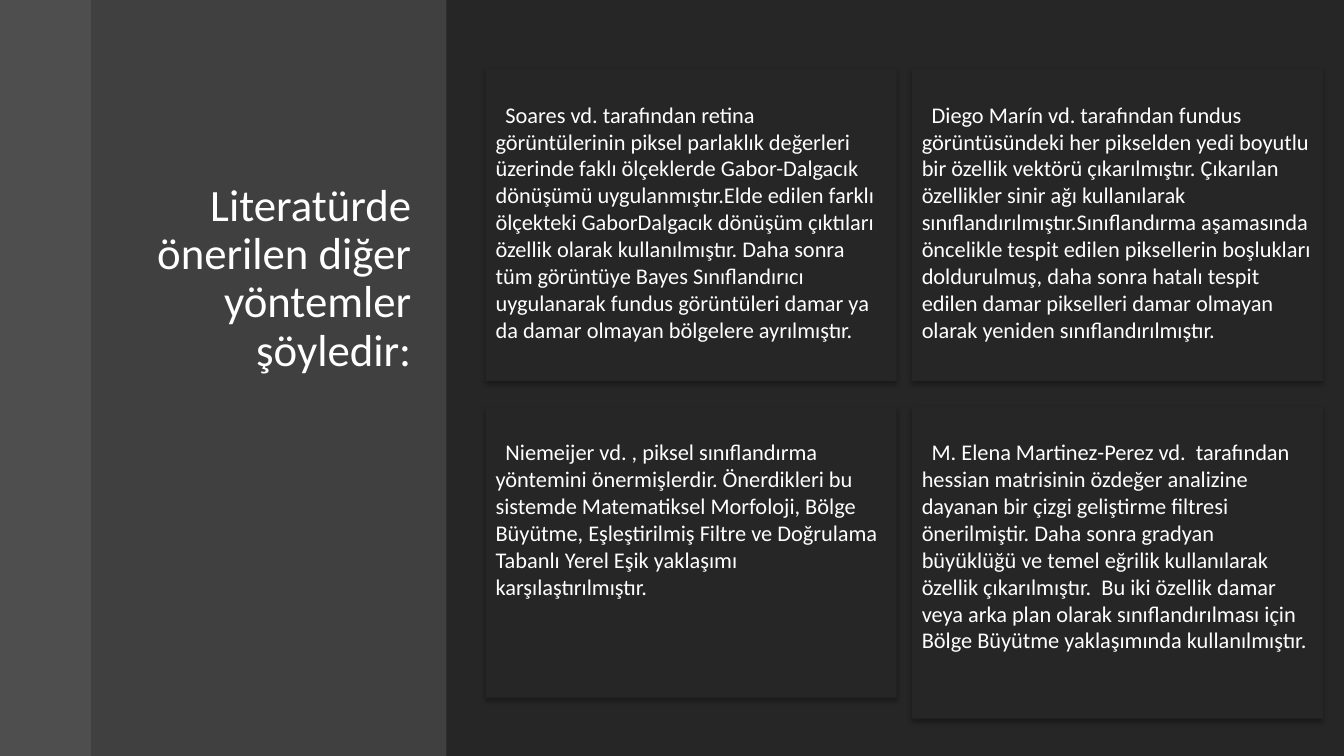
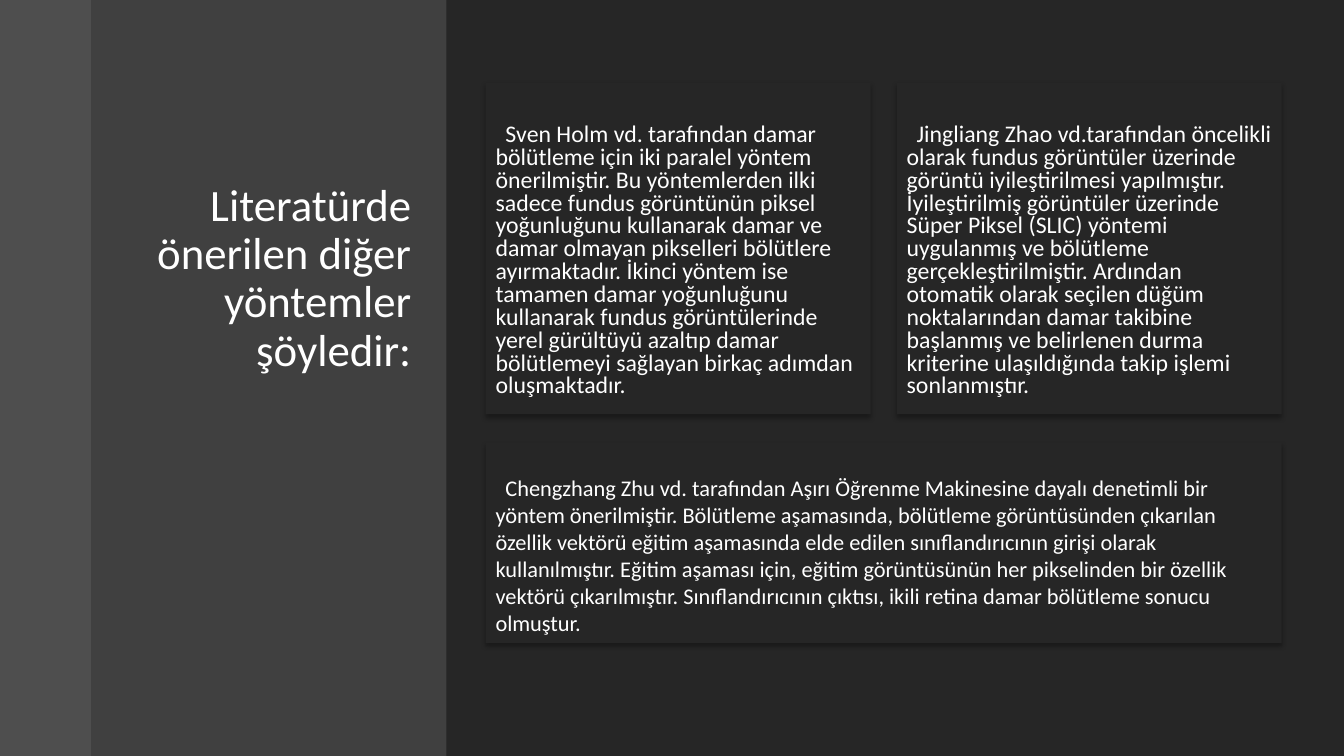
from lxml import etree
from pptx import Presentation
from pptx.dml.color import RGBColor
from pptx.enum.shapes import MSO_SHAPE
from pptx.enum.text import MSO_ANCHOR, PP_ALIGN
from pptx.oxml import parse_xml
from pptx.oxml.ns import nsdecls, qn
from pptx.util import Cm, Pt

DARK = RGBColor(0x26, 0x26, 0x26)
WHITE = RGBColor(0xFF, 0xFF, 0xFF)
EDGE_GRAY = RGBColor(0x5F, 0x5F, 0x5F)
PANEL_GRAY = RGBColor(0x47, 0x47, 0x47)
FONT = "Calibri"
TITLE = "Literatürde önerilen diğer yöntemler şöyledir:"
WIDTH, HEIGHT = 33.87, 19.05
BANDS = [(0, 2.31, EDGE_GRAY, 70), (2.31, 8.94, PANEL_GRAY, 80)]
SHADOW = (
    f'<a:effectLst {nsdecls("a")}>'
    '<a:outerShdw blurRad="44450" dist="27940" dir="5400000" algn="ctr" rotWithShape="0">'
    '<a:srgbClr val="000000"><a:alpha val="32000"/></a:srgbClr>'
    "</a:outerShdw></a:effectLst>"
)

LEFT = 12.24
NARROW, GAP = 10.36, 0.38
RIGHT = LEFT + NARROW + GAP
HALF, HALF_GAP = 9.7, 0.66
HALF_RIGHT = LEFT + HALF + HALF_GAP
FULL = 2 * HALF + HALF_GAP

SLIDES = [
    [
        (LEFT, 1.73, NARROW, 7.87, 16, 1, 0.81,
         "Soares vd. tarafından retina görüntülerinin piksel parlaklık değerleri üzerinde "
         "faklı ölçeklerde Gabor-Dalgacık dönüşümü uygulanmıştır.Elde edilen farklı ölçekteki "
         "GaborDalgacık dönüşüm çıktıları özellik olarak kullanılmıştır. Daha sonra tüm "
         "görüntüye Bayes Sınıflandırıcı uygulanarak fundus görüntüleri damar ya da damar "
         "olmayan bölgelere ayrılmıştır."),
        (LEFT, 10.24, NARROW, 7.34, 16, 1, 0.81,
         "Niemeijer vd. , piksel sınıflandırma yöntemini önermişlerdir. Önerdikleri bu "
         "sistemde Matematiksel Morfoloji, Bölge Büyütme, Eşleştirilmiş Filtre ve Doğrulama "
         "Tabanlı Yerel Eşik yaklaşımı karşılaştırılmıştır."),
        (RIGHT, 1.73, NARROW, 7.87, 16, 1, 0.81,
         "Diego Marín vd. tarafından fundus görüntüsündeki her pikselden yedi boyutlu bir "
         "özellik vektörü çıkarılmıştır. Çıkarılan özellikler sinir ağı kullanılarak "
         "sınıflandırılmıştır.Sınıflandırma aşamasında öncelikle tespit edilen piksellerin "
         "boşlukları doldurulmuş, daha sonra hatalı tespit edilen damar pikselleri damar "
         "olmayan olarak yeniden sınıflandırılmıştır."),
        (RIGHT, 10.24, NARROW, 7.87, 16, 1, 0.81,
         "M. Elena Martinez-Perez vd.  tarafından hessian matrisinin özdeğer analizine "
         "dayanan bir çizgi geliştirme filtresi önerilmiştir. Daha sonra gradyan büyüklüğü "
         "ve temel eğrilik kullanılarak özellik çıkarılmıştır.  Bu iki özellik damar veya "
         "arka plan olarak sınıflandırılması için Bölge Büyütme yaklaşımında kullanılmıştır."),
    ],
    [
        (LEFT, 2.08, HALF, 8.36, 17, 0.8, 1.05,
         "Sven Holm vd. tarafından damar bölütleme için iki paralel yöntem önerilmiştir. Bu "
         "yöntemlerden ilki sadece fundus görüntünün piksel yoğunluğunu kullanarak damar ve "
         "damar olmayan pikselleri bölütlere ayırmaktadır. İkinci yöntem ise tamamen damar "
         "yoğunluğunu kullanarak fundus görüntülerinde yerel gürültüyü azaltıp damar "
         "bölütlemeyi sağlayan birkaç adımdan oluşmaktadır."),
        (HALF_RIGHT, 2.08, HALF, 8.36, 17, 0.8, 1.05,
         "Jingliang Zhao vd.tarafından öncelikli olarak fundus görüntüler üzerinde görüntü "
         "iyileştirilmesi yapılmıştır. İyileştirilmiş görüntüler üzerinde Süper Piksel (SLIC) "
         "yöntemi uygulanmış ve bölütleme gerçekleştirilmiştir. Ardından otomatik olarak "
         "seçilen düğüm noktalarından damar takibine başlanmış ve belirlenen durma kriterine "
         "ulaşıldığında takip işlemi sonlanmıştır."),
        (LEFT, 11.15, FULL, 5.05, 16, 1, 0.81,
         "Chengzhang Zhu vd. tarafından Aşırı Öğrenme Makinesine dayalı denetimli bir yöntem "
         "önerilmiştir. Bölütleme aşamasında, bölütleme görüntüsünden çıkarılan özellik "
         "vektörü eğitim aşamasında elde edilen sınıflandırıcının girişi olarak "
         "kullanılmıştır. Eğitim aşaması için, eğitim görüntüsünün her pikselinden bir "
         "özellik vektörü çıkarılmıştır. Sınıflandırıcının çıktısı, ikili retina damar "
         "bölütleme sonucu olmuştur."),
    ],
]


def add_rect(s, x, y, w, h, color):
    sp = s.shapes.add_shape(MSO_SHAPE.RECTANGLE, Cm(x), Cm(y), Cm(w), Cm(h))
    sp.shadow.inherit = False
    sp.fill.solid()
    sp.fill.fore_color.rgb = color
    sp.line.fill.background()
    return sp


def write(sp, text, size, spacing, align):
    tf = sp.text_frame
    tf.word_wrap = True
    tf.vertical_anchor = MSO_ANCHOR.TOP
    p = tf.paragraphs[0]
    p.text = text
    p.alignment = align
    p.line_spacing = spacing
    p.font.name = FONT
    p.font.size = Pt(size)
    p.font.color.rgb = WHITE
    return p


prs = Presentation()
prs.slide_width, prs.slide_height = Cm(WIDTH), Cm(HEIGHT)

for cards in SLIDES:
    s = prs.slides.add_slide(prs.slide_layouts[6])
    s.background.fill.solid()
    s.background.fill.fore_color.rgb = DARK

    for x, w, color, opacity in BANDS:
        sp = add_rect(s, x, 0, w, HEIGHT, color)
        clr = sp.fill._xPr.find(qn("a:solidFill"))[0]
        etree.SubElement(clr, qn("a:alpha"), val=str(opacity * 1000))

    title = s.shapes.add_textbox(Cm(2.77), Cm(4.47), Cm(7.85), Cm(12.5))
    write(title, TITLE, 32, 0.9, PP_ALIGN.RIGHT)

    for x, y, w, h, size, spacing, inset, text in cards:
        sp = add_rect(s, x, y, w, h, DARK)
        effects = sp._element.spPr.find(qn("a:effectLst"))
        effects.getparent().replace(effects, parse_xml(SHADOW))
        sp.text_frame.margin_top = Cm(inset)
        p = write(sp, text, size, spacing, PP_ALIGN.LEFT)
        p._p.get_or_add_pPr().set("indent", str(Cm(0.25)))

prs.save("out.pptx")
